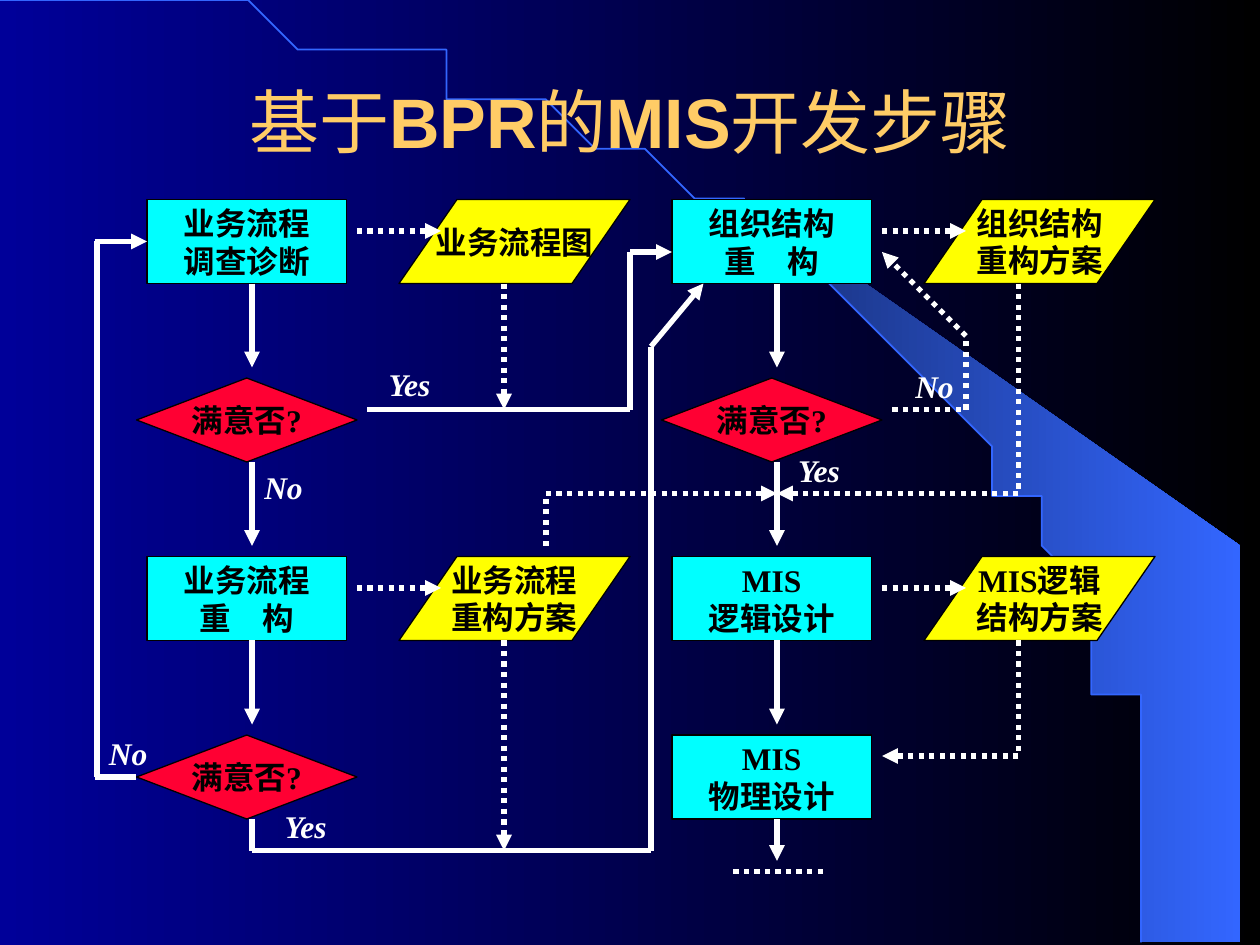
from math import cos, radians, sin

from lxml import etree
from pptx import Presentation
from pptx.dml.color import RGBColor
from pptx.enum.dml import MSO_LINE
from pptx.enum.shapes import MSO_CONNECTOR, MSO_SHAPE
from pptx.enum.text import MSO_ANCHOR, PP_ALIGN
from pptx.oxml.ns import qn
from pptx.util import Cm, Pt

RECTANGLE = MSO_SHAPE.RECTANGLE
DECISION = MSO_SHAPE.FLOWCHART_DECISION
DATA = MSO_SHAPE.PARALLELOGRAM
STRAIGHT = MSO_CONNECTOR.STRAIGHT
DOTTED = MSO_LINE.ROUND_DOT
CENTER = PP_ALIGN.CENTER
MIDDLE = MSO_ANCHOR.MIDDLE

GRID = 2.54 / 12
SERIF = "Times New Roman"
NODE_HEIGHT = 8
NODE_STYLES = {
    RECTANGLE: (19, "00FFFF"),
    DECISION: (21, "FF0033"),
    DATA: (22, "FFFF00"),
}

TITLE = [("基于", False), ("BPR", True), ("的", False), ("MIS", True), ("开发步骤", False)]

NODES = [
    (RECTANGLE, 14, 19, "业务流程\n调查诊断"),
    (DATA, 38, 19, "业务流程图"),
    (RECTANGLE, 64, 19, "组织结构\n重　构"),
    (DATA, 88, 19, "组织结构\n重构方案"),
    (DECISION, 13, 36, "满意否?"),
    (DECISION, 63, 36, "满意否?"),
    (RECTANGLE, 14, 53, "业务流程\n重　构"),
    (DATA, 38, 53, "业务流程\n重构方案"),
    (RECTANGLE, 64, 53, "MIS\n逻辑设计"),
    (DATA, 88, 53, "MIS逻辑\n结构方案"),
    (DECISION, 13, 70, "满意否?"),
    (RECTANGLE, 64, 70, "MIS\n物理设计"),
]

SOLID_ROUTES = [
    ([(24, 27), (24, 35)], True),
    ([(24, 44), (24, 52)], True),
    ([(24, 61), (24, 69)], True),
    ([(74, 27), (74, 35)], True),
    ([(74, 44), (74, 52)], True),
    ([(74, 61), (74, 69)], True),
    ([(74, 78), (74, 82)], True),
    ([(35, 39), (60, 39), (60, 24), (64, 24)], True),
    ([(24, 78), (24, 81), (62, 81), (62, 33), (67, 27)], True),
    ([(13, 74), (9, 74)], False),
    ([(9.25, 74), (9.25, 23)], False),
    ([(9, 23), (14, 23)], True),
]

DOTTED_ROUTES = [
    ([(34, 22), (42, 22)], True),
    ([(84, 22), (92, 22)], True),
    ([(34, 56), (42, 56)], True),
    ([(84, 56), (92, 56)], True),
    ([(48, 27), (48, 39)], True),
    ([(48, 61), (48, 81)], True),
    ([(52, 52), (52, 47), (74, 47)], True),
    ([(97, 27), (97, 47), (74, 47)], True),
    ([(97, 61), (97, 72), (84, 72)], True),
    ([(85, 39), (92, 39), (92, 32), (84, 24)], True),
    ([(69.85, 83), (78.85, 83)], False),
]

LABELS = [
    ("Yes", 35, 34.2), ("No", 85, 34.35), ("Yes", 74, 42.35),
    ("No", 23, 44), ("No", 8.2, 69.35), ("Yes", 25.1, 76.3),
]


def color(value):
    return RGBColor.from_string(value)


def cells(*values):
    return [Cm(value * GRID) for value in values]


def set_gradient(fill, *colors):
    fill.gradient()
    fill.gradient_angle = 0
    for stop, value in zip(fill.gradient_stops, colors):
        stop.color.rgb = color(value)


def style_font(font, name, size, value, bold, italic=False):
    font.name = name
    font.size = Pt(size)
    font.color.rgb = color(value)
    font.bold = bold
    font.italic = italic


def style_text(frame, value, italic=False):
    for para in frame.paragraphs:
        para.alignment = CENTER
        for span in para.runs:
            style_font(span.font, SERIF, 18, value, True, italic)


def arc_point(degrees):
    angle = radians(degrees)
    return 23.37 * sin(angle), 19.02 * (1 - cos(angle))


def add_outline(page, points, close):
    builder = page.shapes.build_freeform(*points[0], scale=Cm(1))
    builder.add_line_segments(points[1:], close=close)
    outline = builder.convert_to_shape()
    outline.shadow.inherit = False
    return outline


def add_backdrop(page):
    set_gradient(page.background.fill, "000099", "000000")
    edge = [arc_point(degrees) for degrees in range(40, 91, 2)]
    wedge = add_outline(page, edge + [(25.37, 19.02), (25.37, 10.74)], True)
    set_gradient(wedge.fill, "182F76", "3366FF")
    wedge.line.fill.background()
    arc = add_outline(page, [arc_point(degrees) for degrees in range(91)], False)
    arc.fill.background()
    arc.line.color.rgb = color("3366FF")
    arc.line.width = Pt(1)


def add_title(page):
    box = page.shapes.add_textbox(*cells(9, 4, 102, 15))
    frame = box.text_frame
    frame.word_wrap = True
    frame.vertical_anchor = MIDDLE
    para = frame.paragraphs[0]
    para.alignment = CENTER
    for text, bold in TITLE:
        span = para.add_run()
        span.text = text
        style_font(span.font, "Arial", 40, "FFCC66", bold)


def add_node(page, kind, left, top, text, sides):
    width, fill = NODE_STYLES[kind]
    node = page.shapes.add_shape(kind, *cells(left, top, width, NODE_HEIGHT))
    node.shadow.inherit = False
    node.fill.solid()
    node.fill.fore_color.rgb = color(fill)
    node.line.color.rgb = color("000000")
    node.line.width = Pt(0.75)
    frame = node.text_frame
    frame.text = text
    frame.word_wrap = False
    frame.vertical_anchor = MIDDLE
    style_text(frame, "000000")
    if kind == DATA:
        node.adjustments[0] = 0.69
    else:
        middle, center = top + NODE_HEIGHT / 2, left + width / 2
        sides[center, top] = node, 0
        sides[left, middle] = node, 1
        sides[center, top + NODE_HEIGHT] = node, 2
        sides[left + width, middle] = node, 3


def add_route(page, points, arrow, dotted, sides):
    for start, end in zip(points, points[1:]):
        link = page.shapes.add_connector(STRAIGHT, *cells(*start, *end))
        etree.SubElement(link._element.spPr, qn("a:effectLst"))
        link.line.color.rgb = color("FFFFFF")
        link.line.width = Pt(3)
        if dotted:
            link.line.dash_style = DOTTED
        if start in sides:
            link.begin_connect(*sides[start])
        if end in sides:
            link.end_connect(*sides[end])
        if arrow and end == points[-1]:
            etree.SubElement(link.line._get_or_add_ln(), qn("a:tailEnd"), type="triangle")


def add_label(page, text, left, top):
    box = page.shapes.add_textbox(*cells(left, top, 8, 4.8))
    box.text_frame.word_wrap = True
    box.text_frame.text = text
    style_text(box.text_frame, "FFFFFF", True)


def main():
    deck = Presentation()
    deck.slide_width, deck.slide_height = Cm(25.4), Cm(19.05)
    page = deck.slides.add_slide(deck.slide_layouts[6])
    add_backdrop(page)
    add_title(page)
    sides = {}
    for node in NODES:
        add_node(page, *node, sides)
    for routes, dotted in ((SOLID_ROUTES, False), (DOTTED_ROUTES, True)):
        for points, arrow in routes:
            add_route(page, points, arrow, dotted, sides)
    for label in LABELS:
        add_label(page, *label)
    deck.save("out.pptx")


if __name__ == "__main__":
    main()
